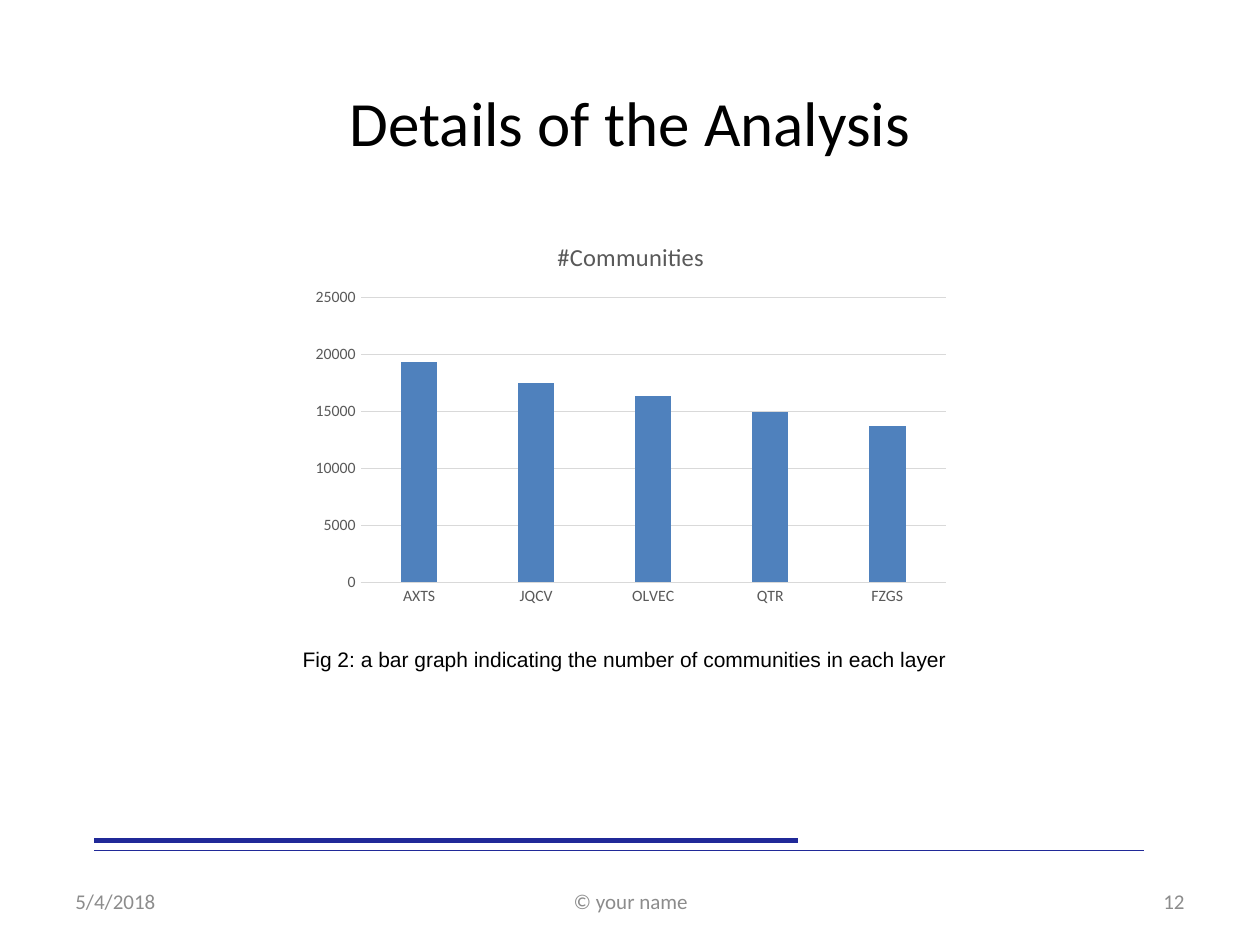
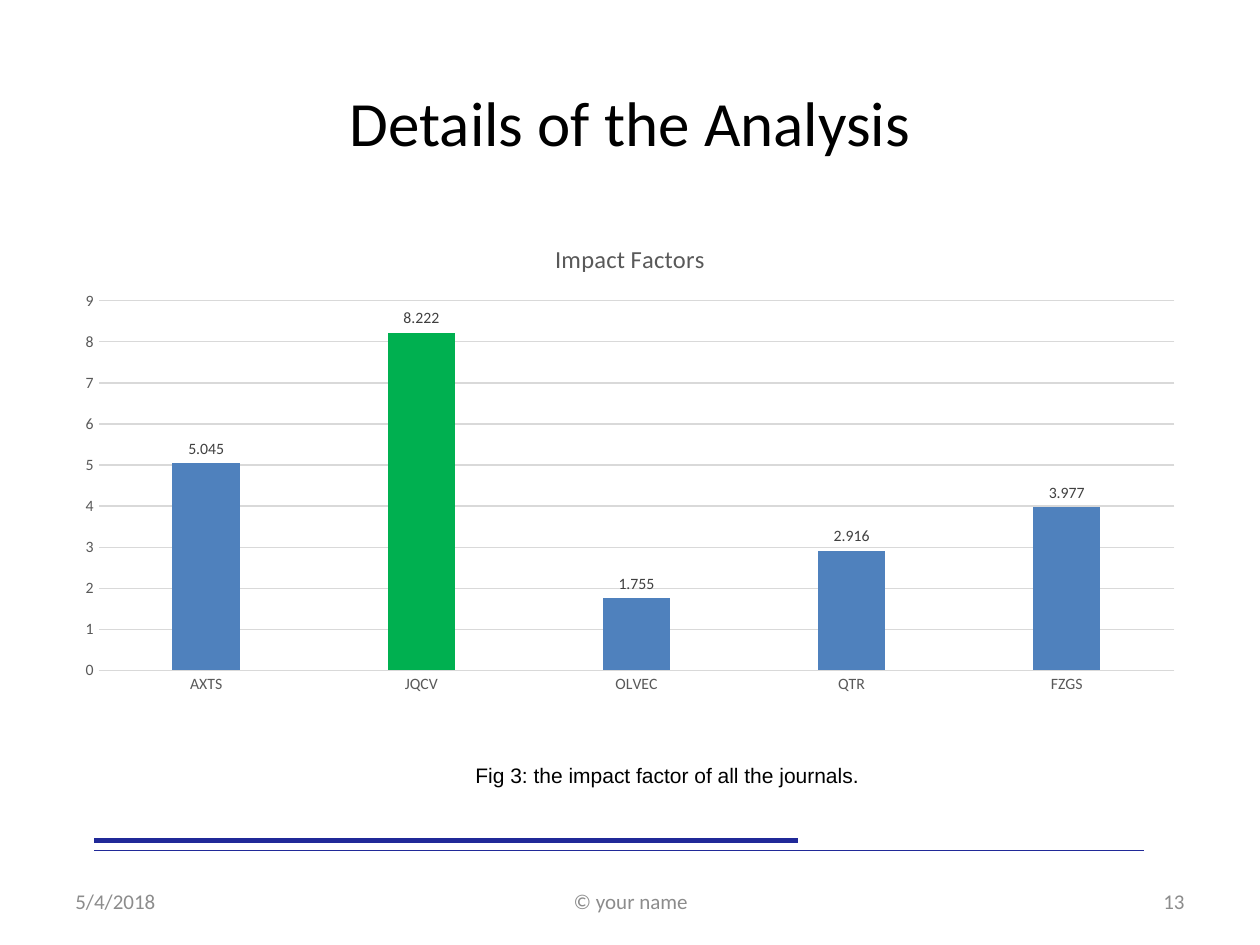
"""Build two slides of journal analysis charts with a shared title, rules and footer."""
from dataclasses import dataclass
from typing import Any, NamedTuple

from lxml import etree
from pptx import Presentation
from pptx.chart.data import CategoryChartData
from pptx.dml.color import RGBColor
from pptx.enum.chart import XL_CHART_TYPE, XL_LABEL_POSITION, XL_TICK_MARK
from pptx.enum.shapes import MSO_CONNECTOR
from pptx.enum.text import MSO_ANCHOR, PP_ALIGN
from pptx.oxml.ns import qn
from pptx.util import Cm, Pt

COLUMN = XL_CHART_TYPE.COLUMN_CLUSTERED
OUTSIDE_END = XL_LABEL_POSITION.OUTSIDE_END
NO_TICK = XL_TICK_MARK.NONE
STRAIGHT = MSO_CONNECTOR.STRAIGHT
TOP, MIDDLE = MSO_ANCHOR.TOP, MSO_ANCHOR.MIDDLE
LEFT, CENTER, RIGHT = PP_ALIGN.LEFT, PP_ALIGN.CENTER, PP_ALIGN.RIGHT

COLORS = {
    "text": "000000",
    "rule": "202998",
    "footer": "8C8C8C",
    "axis_text": "595959",
    "label": "404040",
    "grid": "D9D9D9",
    "bar": "4F81BD",
    "highlight": "00B050",
}
TITLE_FONT = {"name": "Calibri", "size": Pt(36), "color": "text"}
FOOTER_FONT = {"name": "Calibri", "size": Pt(12), "color": "footer"}
CAPTION_FONT = {"name": "Arial", "size": Pt(12), "color": "text"}
CHART_FONT = {"name": "Calibri", "size": Pt(10), "color": "text"}
CHART_TITLE_FONT = {"name": "Calibri", "size": Pt(14), "bold": False, "color": "axis_text"}
AXIS_FONT = {"name": "Calibri", "size": Pt(9), "color": "axis_text"}
LABEL_FONT = {"name": "Calibri", "size": Pt(9), "color": "label"}

TITLE = "Details of the Analysis"
JOURNALS = ("AXTS", "JQCV", "OLVEC", "QTR", "FZGS")


class Box(NamedTuple):
    """Left, top, width and height in centimetres."""

    left: float
    top: float
    width: float
    height: float


class Rule(NamedTuple):
    """A horizontal line above the footer, in centimetres and points."""

    left: float
    right: float
    top: float
    weight: float


class FooterPart(NamedTuple):
    """One text of the footer."""

    text: str
    left: float
    width: float
    alignment: PP_ALIGN


@dataclass(frozen=True)
class ChartSlide:
    """What differs from one chart slide to the next."""

    number: int
    chart_title: str
    values: tuple[float, ...]
    axis_maximum: float
    axis_step: float
    chart_box: Box
    caption: str
    caption_box: Box
    highlighted: int | None = None
    label_format: str | None = None


TITLE_BOX = Box(1.27, 1.07, 22.86, 2.74)
RULES = (Rule(1.9, 23.06, 17.15, 0.75), Rule(1.9, 16.08, 16.94, 3))
FOOTER_TOP, FOOTER_HEIGHT = 17.65, 1.02
SLIDES = (
    ChartSlide(
        12, "#Communities", (19300, 17500, 16300, 14900, 13700), 25000, 5000,
        Box(6.1, 4.45, 13.23, 7.92),
        "Fig 2: a bar graph indicating the number of communities in each layer",
        Box(4.24, 12.9, 16.71, 0.76),
    ),
    ChartSlide(
        13, "Impact Factors", (5.045, 8.222, 1.755, 2.916, 3.977), 9, 1,
        Box(1.27, 4.45, 22.86, 9.73),
        "Fig 3: the impact factor of all the journals.",
        Box(4.88, 15.24, 17.15, 0.76),
        highlighted=1, label_format="0.000",
    ),
)


def color(name: str) -> RGBColor:
    """Look up a palette colour."""
    return RGBColor.from_string(COLORS[name])


def set_values(target: Any, values: dict[str, Any]) -> None:
    """Set each named attribute of the target."""
    for name, value in values.items():
        setattr(target, name, value)


def format_font(font: Any, values: dict[str, Any]) -> None:
    """Apply font values, resolving the colour in the palette."""
    for name, value in values.items():
        if name == "color":
            font.color.rgb = color(value)
        else:
            setattr(font, name, value)


def format_line(line: Any, color_name: str, weight: float) -> None:
    """Give a line its colour and weight."""
    line.color.rgb = color(color_name)
    line.width = Pt(weight)


def write_text(shape: Any, text: str, font: dict[str, Any], alignment: PP_ALIGN,
               anchor: MSO_ANCHOR) -> None:
    """Put one formatted paragraph into a shape."""
    frame = shape.text_frame
    set_values(frame, {"text": text, "word_wrap": True, "vertical_anchor": anchor})
    paragraph = frame.paragraphs[0]
    paragraph.alignment = alignment
    format_font(paragraph.runs[0].font, font)


def add_text(slide: Any, box: Box, text: str, font: dict[str, Any],
             alignment: PP_ALIGN, anchor: MSO_ANCHOR) -> None:
    """Add a text box with one paragraph."""
    shape = slide.shapes.add_textbox(*map(Cm, box))
    write_text(shape, text, font, alignment, anchor)


def add_rule(slide: Any, rule: Rule) -> None:
    """Draw a horizontal rule without a shadow."""
    connector = slide.shapes.add_connector(
        STRAIGHT, Cm(rule.left), Cm(rule.top), Cm(rule.right), Cm(rule.top))
    format_line(connector.line, "rule", rule.weight)
    etree.SubElement(connector._element.spPr, qn("a:effectLst"))


def add_frame(slide: Any, number: int) -> None:
    """Add the title, rules and footer that all slides share."""
    for rule in RULES:
        add_rule(slide, rule)
    title = slide.shapes.title
    set_values(title, dict(zip(Box._fields, map(Cm, TITLE_BOX))))
    write_text(title, TITLE, TITLE_FONT, CENTER, MIDDLE)
    footer = (
        FooterPart("5/4/2018", 1.27, 5.92, LEFT),
        FooterPart("© your name", 8.69, 8.05, CENTER),
        FooterPart(str(number), 18.21, 5.92, RIGHT),
    )
    for part in footer:
        box = Box(part.left, FOOTER_TOP, part.width, FOOTER_HEIGHT)
        add_text(slide, box, part.text, FOOTER_FONT, part.alignment, MIDDLE)


def format_axes(chart: Any, content: ChartSlide) -> None:
    """Style both axes and the gridlines."""
    category_axis, value_axis = chart.category_axis, chart.value_axis
    for axis in (category_axis, value_axis):
        set_values(axis, {"major_tick_mark": NO_TICK, "minor_tick_mark": NO_TICK})
        format_font(axis.tick_labels.font, AXIS_FONT)
    format_line(category_axis.format.line, "grid", 0.75)
    value_axis.format.line.fill.background()
    set_values(value_axis, {
        "minimum_scale": 0,
        "maximum_scale": content.axis_maximum,
        "major_unit": content.axis_step,
        "has_major_gridlines": True,
    })
    format_line(value_axis.major_gridlines.format.line, "grid", 0.75)


def format_bars(plot: Any, content: ChartSlide) -> None:
    """Style the bars, the highlighted bar and the value labels."""
    set_values(plot, {"gap_width": 219, "overlap": -27, "vary_by_categories": False})
    series = plot.series[0]
    fills = [(series.format.fill, "bar")]
    if content.highlighted is not None:
        fills.append((series.points[content.highlighted].format.fill, "highlight"))
    for fill, color_name in fills:
        fill.solid()
        fill.fore_color.rgb = color(color_name)
    if content.label_format:
        labels = series.data_labels
        set_values(labels, {
            "show_value": True,
            "position": OUTSIDE_END,
            "number_format": content.label_format,
            "number_format_is_linked": False,
        })
        format_font(labels.font, LABEL_FONT)


def add_column_chart(slide: Any, content: ChartSlide) -> None:
    """Add the column chart of one slide."""
    data = CategoryChartData()
    data.categories = JOURNALS
    data.add_series(content.chart_title, content.values)
    chart = slide.shapes.add_chart(COLUMN, *map(Cm, content.chart_box), data).chart
    set_values(chart, {"has_legend": False, "has_title": True})
    format_font(chart.font, CHART_FONT)
    title_frame = chart.chart_title.text_frame
    title_frame.text = content.chart_title
    format_font(title_frame.paragraphs[0].runs[0].font, CHART_TITLE_FONT)
    format_axes(chart, content)
    format_bars(chart.plots[0], content)


def main() -> None:
    """Build and save the presentation."""
    presentation = Presentation()
    set_values(presentation, {"slide_width": Cm(25.4), "slide_height": Cm(19.05)})
    title_only = presentation.slide_layouts.get_by_name("Title Only")
    for content in SLIDES:
        slide = presentation.slides.add_slide(title_only)
        add_frame(slide, content.number)
        add_column_chart(slide, content)
        add_text(slide, content.caption_box, content.caption, CAPTION_FONT, CENTER, TOP)
    presentation.save("out.pptx")


if __name__ == "__main__":
    main()
